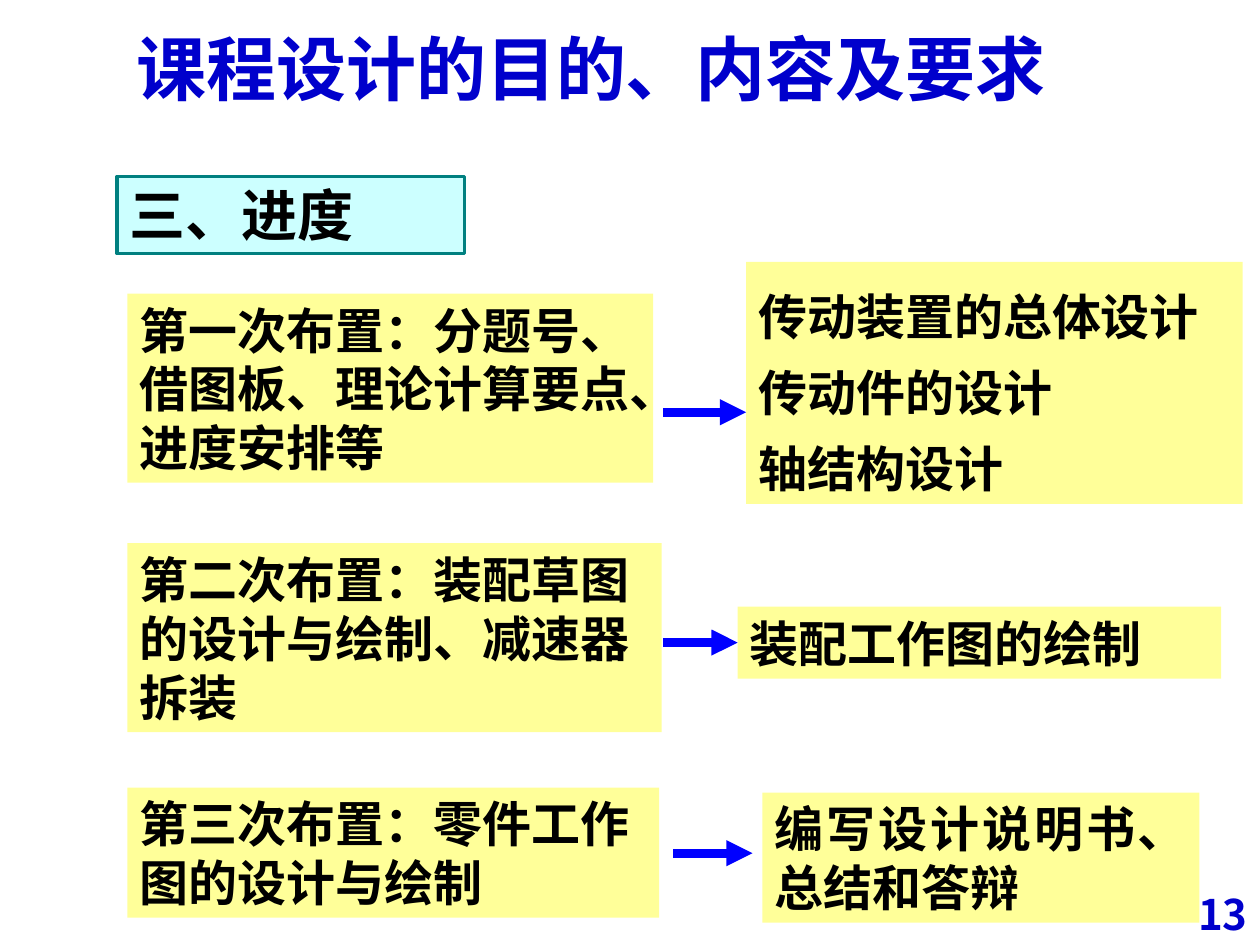
import pptx
import pptx.dml.color
import pptx.enum.shapes
import pptx.enum.text
import pptx.oxml
import pptx.oxml.ns
import pptx.util
from pptx.util import Cm

FONT = "Noto Sans CJK SC"
COLORS = {
    "navy": "0000CC",
    "ink": "000000",
    "task": "FFFF99",
    "heading": "CCFFFF",
    "border": "008080",
    "arrow": "0000FF",
}
ALIGN = pptx.enum.text.PP_ALIGN


def rgb(name):
    """Return the named colour."""
    return pptx.dml.color.RGBColor.from_string(COLORS[name])


def write(shape, text, size, color="ink", align=ALIGN.LEFT, gap=0):
    """Fill a shape with bold, bottom-anchored paragraphs."""
    frame = shape.text_frame
    frame.word_wrap = True
    frame.vertical_anchor = pptx.enum.text.MSO_ANCHOR.BOTTOM
    frame.text = text
    for index, paragraph in enumerate(frame.paragraphs):
        paragraph.alignment = align
        paragraph.line_spacing = pptx.util.Pt(size * 1.2)
        if index and gap:
            paragraph.space_before = pptx.util.Pt(gap)
        for run in paragraph.runs:
            run.font.name = FONT
            run.font.size = pptx.util.Pt(size)
            run.font.bold = True
            run.font.color.rgb = rgb(color)
            east_asian = pptx.oxml.parse_xml(
                f'<a:ea {pptx.oxml.ns.nsdecls("a")} typeface="{FONT}"/>')
            run.font._element.find(pptx.oxml.ns.qn("a:latin")).addnext(east_asian)


def add_label(slide, box, text, size, align):
    """Add a plain navy text box."""
    label = slide.shapes.add_textbox(*map(Cm, box))
    write(label, text, size, "navy", align)


def add_panel(slide, box, text, size=28, fill="task", border=None, **style):
    """Add a filled rectangle holding text."""
    panel = slide.shapes.add_shape(
        pptx.enum.shapes.MSO_SHAPE.RECTANGLE, *map(Cm, box))
    panel.shadow.inherit = False
    panel.fill.solid()
    panel.fill.fore_color.rgb = rgb(fill)
    if border:
        panel.line.color.rgb = rgb(border)
        panel.line.width = pptx.util.Pt(2)
    else:
        panel.line.fill.background()
    write(panel, text, size, **style)
    return panel


def add_arrow(slide, start, end, y):
    """Add a horizontal arrow from start to end."""
    arrow = slide.shapes.add_connector(
        pptx.enum.shapes.MSO_CONNECTOR.STRAIGHT, Cm(start), Cm(y), Cm(end), Cm(y))
    arrow.line.color.rgb = rgb("arrow")
    arrow.line.width = pptx.util.Pt(5)
    namespace = pptx.oxml.ns.nsdecls("a")
    arrow.line._get_or_add_ln().append(
        pptx.oxml.parse_xml(f'<a:tailEnd {namespace} type="triangle"/>'))
    arrow._element.spPr.append(pptx.oxml.parse_xml(f"<a:effectLst {namespace}/>"))
    return arrow


def add_stage(slide, box, task, task_size, result, result_box, arrow_span, gap=0):
    """Add one stage: its task, an arrow and the resulting work."""
    left, top = box
    result_left, result_top, result_width, result_height = result_box
    start, end, drop = arrow_span
    add_panel(slide, (left, top, *task_size), task)
    work = add_panel(
        slide, (left + result_left, top + result_top, result_width, result_height),
        result, align=ALIGN.JUSTIFY, gap=gap)
    arrow = add_arrow(slide, left + start, left + end, top + drop)
    middle = result_top + result_height / 2
    if abs(end - result_left) < 0.02 and abs(drop - middle) < 0.02:
        arrow.end_connect(work, 1)


def main():
    """Build the schedule slide."""
    deck = pptx.Presentation()
    deck.slide_width, deck.slide_height = Cm(25.4), Cm(19.05)
    slide = deck.slides.add_slide(deck.slide_layouts[6])

    add_label(slide, (23.29, 17.78, 2.11, 1.27), "13", 24, ALIGN.RIGHT)
    add_label(slide, (1.12, 0.64, 21.59, 1.7),
              "课程设计的目的、内容及要求", 40, ALIGN.CENTER)
    add_panel(slide, (2.36, 3.56, 7.01, 1.55), "三、进度", 32, "heading", "border")

    stages = [
        (5.92, "第一次布置：分题号、借图板、理论计算要点、进度安排等", (10.6, 3.81),
         "传动装置的总体设计\n传动件的设计\n轴结构设计",
         (12.47, -0.64, 10.01, 4.88), (10.8, 12.47, 2.39), 10),
        (10.95, "第二次布置：装配草图的设计与绘制、减速器拆装", (10.77, 3.81),
         "装配工作图的绘制", (12.3, 1.28, 9.75, 1.45), (10.8, 12.3, 2.0), 0),
        (15.88, "第三次布置：零件工作\n图的设计与绘制", (10.72, 2.62),
         "编写设计说明书、总结和答辩",
         (12.8, 0.1, 8.81, 2.62), (11.0, 12.6, 1.32), 0),
    ]
    for top, *stage in stages:
        add_stage(slide, (2.57, top), *stage)

    deck.save("out.pptx")


if __name__ == "__main__":
    main()
